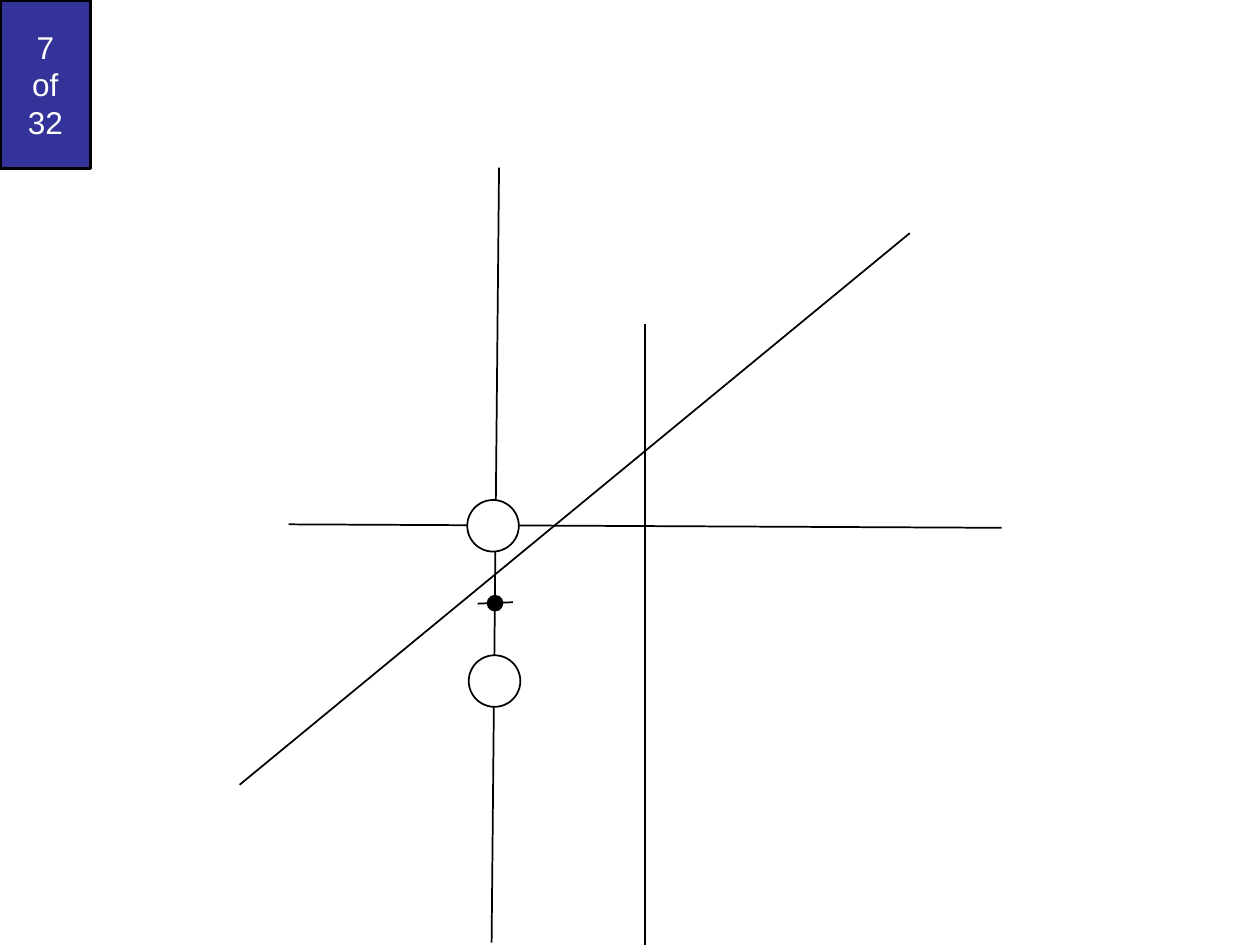
from lxml.etree import SubElement
from pptx import Presentation
from pptx.dml.color import RGBColor
from pptx.enum.shapes import MSO_CONNECTOR, MSO_SHAPE
from pptx.enum.text import MSO_ANCHOR, PP_ALIGN
from pptx.oxml.ns import qn
from pptx.util import Cm, Pt

BLACK = RGBColor(0x00, 0x00, 0x00)
WHITE = RGBColor(0xFF, 0xFF, 0xFF)
INDIGO = RGBColor(0x33, 0x33, 0x99)


def add_filled_shape(shapes, kind, left, top, width, height, fill, line_width=1):
    shape = shapes.add_shape(kind, Cm(left), Cm(top), Cm(width), Cm(height))
    shape.shadow.inherit = False
    shape.fill.solid()
    shape.fill.fore_color.rgb = fill
    shape.line.color.rgb = BLACK
    shape.line.width = Pt(line_width)
    return shape


def add_circle(shapes, center_x, center_y, diameter, fill):
    radius = diameter / 2
    return add_filled_shape(shapes, MSO_SHAPE.OVAL, center_x - radius,
                            center_y - radius, diameter, diameter, fill)


def add_line(shapes, start_x, start_y, end_x, end_y):
    connector = shapes.add_connector(MSO_CONNECTOR.STRAIGHT, Cm(start_x),
                                     Cm(start_y), Cm(end_x), Cm(end_y))
    connector.line.color.rgb = BLACK
    connector.line.width = Pt(1)
    SubElement(connector._element.spPr, qn("a:effectLst"))
    return connector


def write_text(shape, text, *, size=18, color=WHITE, font="Arial",
               align=PP_ALIGN.CENTER, anchor=MSO_ANCHOR.MIDDLE):
    text_frame = shape.text_frame
    text_frame.word_wrap = True
    text_frame.vertical_anchor = anchor
    paragraph = text_frame.paragraphs[0]
    paragraph.text = text.replace("\n", "\v")
    paragraph.alignment = align
    for run in paragraph.runs:
        run.font.size = Pt(size)
        run.font.name = font
        run.font.color.rgb = color


def add_page_counter(slide, left, top, width, height):
    box = add_filled_shape(slide.shapes, MSO_SHAPE.RECTANGLE, left, top,
                           width, height, INDIGO, line_width=2)
    write_text(box, "7\nof\n32")


def add_construction(slide, left, top):
    """Draw the crossing lines, two circles and the marked point between them."""
    shapes = slide.shapes

    def line(start_x, start_y, end_x, end_y, target=shapes):
        add_line(target, left + start_x, top + start_y, left + end_x, top + end_y)

    line(15.36, 7.26, 0.99, 7.19)
    line(8.17, 3.15, 8.17, 17.55)
    line(5.23, 0, 5.08, 15.62)
    for center_x, center_y in ((5.11, 7.22), (5.14, 10.35)):
        add_circle(shapes, left + center_x, top + center_y, 1.04, WHITE)
    line(0, 12.44, 13.51, 1.32)

    marked_point = shapes.add_group_shape().shapes
    line(4.8, 8.79, 5.51, 8.76, marked_point)
    add_circle(marked_point, left + 5.15, top + 8.78, 0.3, BLACK)


def main():
    presentation = Presentation()
    presentation.slide_width = Cm(25.4)
    presentation.slide_height = Cm(19.05)
    slide = presentation.slides.add_slide(presentation.slide_layouts[6])
    add_page_counter(slide, 0, 0, 1.83, 3.4)
    add_construction(slide, 4.83, 3.38)
    presentation.save("out.pptx")


if __name__ == "__main__":
    main()
